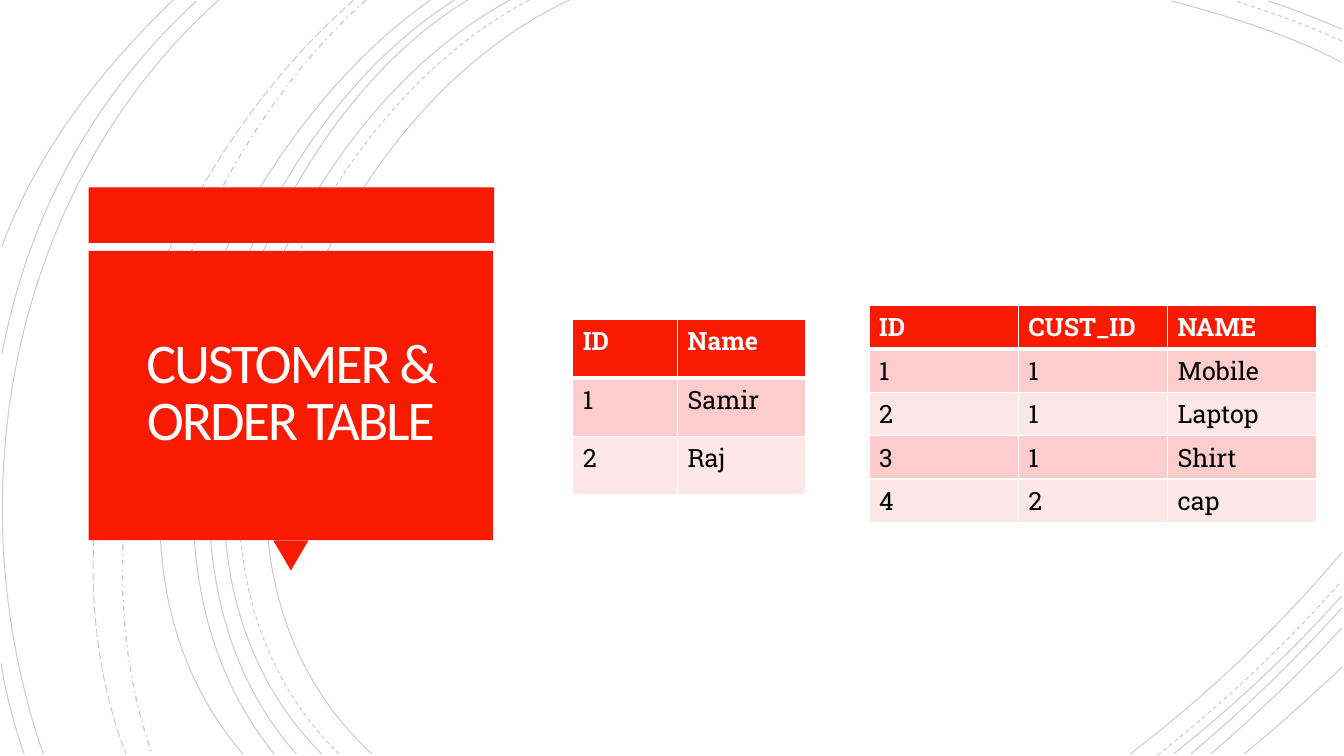
from dataclasses import dataclass
from typing import NamedTuple

from lxml.etree import SubElement
from pptx import Presentation
from pptx.dml.color import RGBColor
from pptx.enum.dml import MSO_LINE_DASH_STYLE as Dash
from pptx.enum.shapes import MSO_AUTO_SHAPE_TYPE as ShapeType
from pptx.enum.text import MSO_ANCHOR, MSO_AUTO_SIZE, PP_ALIGN
from pptx.oxml import parse_xml
from pptx.oxml.ns import nsdecls, qn
from pptx.slide import Slide
from pptx.text.text import TextFrame
from pptx.util import Emu, Pt

EMU_PER_PX = 9144


@dataclass(frozen=True)
class Theme:
    accent: str = "F81B02"
    title_text: str = "FFFEFF"
    header_text: str = "FFFFFF"
    body_text: str = "000000"
    border: str = "FFFFFF"
    bands: tuple[str, str] = ("FCCDCC", "FEE8E7")
    arc: str = "000000"
    arc_alpha: int = 20000
    title_font: str = "Calibri"
    table_font: str = "Roboto Slab"
    title_size: int = 40
    table_size: int = 18


THEME = Theme()


class Point(NamedTuple):
    x: int
    y: int


class Box(NamedTuple):
    left: int
    top: int
    width: int
    height: int


@dataclass(frozen=True)
class Arc:
    start: Point
    first_control: Point
    second_control: Point
    end: Point
    dash: Dash = Dash.SOLID
    weight: float = 0.75


@dataclass(frozen=True)
class Block:
    kind: ShapeType
    box: Box
    rotation: int = 0


@dataclass(frozen=True)
class DataTable:
    left: int
    top: int
    column_widths: tuple[int, ...]
    row_height: int
    rows: tuple[tuple[str, ...], ...]


ARCS = (
    Arc(Point(565, 0), Point(315, 115), Point(143, 540), Point(369, 748)),
    Arc(Point(1331, 62), Point(1278, 34), Point(1218, 16), Point(1162, 1)),
    Arc(Point(1121, 748), Point(1197, 690), Point(1269, 622), Point(1331, 548)),
    Arc(Point(525, 0), Point(285, 125), Point(123, 537), Point(336, 748), Dash.DASH),
    Arc(Point(1331, 41), Point(1297, 25), Point(1260, 12), Point(1225, 1), Dash.DASH),
    Arc(Point(1148, 749), Point(1213, 698), Point(1275, 640), Point(1330, 577), Dash.DASH),
    Arc(Point(506, 0), Point(270, 127), Point(110, 537), Point(319, 748)),
    Arc(Point(1331, 29), Point(1307, 19), Point(1283, 9), Point(1258, 1)),
    Arc(Point(1164, 748), Point(1223, 701), Point(1280, 648), Point(1331, 591)),
    Arc(Point(464, 0), Point(244, 133), Point(110, 541), Point(294, 748)),
    Arc(Point(1181, 748), Point(1234, 704), Point(1284, 655), Point(1331, 603)),
    Arc(Point(451, 0), Point(231, 138), Point(97, 533), Point(272, 748)),
    Arc(Point(1201, 748), Point(1246, 709), Point(1290, 667), Point(1331, 623)),
    Arc(Point(427, 0), Point(217, 147), Point(53, 529), Point(241, 748)),
    Arc(Point(1234, 748), Point(1267, 721), Point(1299, 692), Point(1331, 662)),
    Arc(Point(363, 0), Point(176, 166), Point(65, 509), Point(151, 748), Dash.DASH_DOT, 1),
    Arc(Point(351, 0), Point(157, 169), Point(29, 499), Point(125, 748), Dash.LONG_DASH),
    Arc(Point(217, 0), Point(11, 185), Point(-46, 490), Point(43, 748)),
    Arc(Point(195, 1), Point(92, 96), Point(28, 214), Point(2, 351)),
    Arc(Point(1, 658), Point(6, 689), Point(14, 719), Point(24, 748)),
    Arc(Point(172, 0), Point(100, 69), Point(37, 150), Point(2, 244)),
)

BLOCKS = (
    Block(ShapeType.RECTANGLE, Box(88, 186, 402, 55)),
    Block(ShapeType.ISOSCELES_TRIANGLE, Box(271, 536, 35, 30), 180),
    Block(ShapeType.RECTANGLE, Box(88, 249, 401, 287)),
)

TITLE_BOX = Box(97, 257, 383, 269)

TABLES = (
    DataTable(568, 317, (104, 127), 58, (("ID", "Name"), ("1", "Samir"), ("2", "Raj"))),
    DataTable(862, 303, (148, 148, 148), 41, (
        ("ID", "CUST_ID", "NAME"),
        ("1", "1", "Mobile"),
        ("2", "1", "Laptop"),
        ("3", "1", "Shirt"),
        ("4", "2", "cap"),
    )),
)


def px(length: int) -> Emu:
    return Emu(length * EMU_PER_PX)


def rgb(color: str) -> RGBColor:
    return RGBColor.from_string(color)


def write_text(frame: TextFrame, text: str, *, font: str, size: int, color: str,
               bold: bool = False, align: PP_ALIGN = PP_ALIGN.LEFT,
               line_spacing: float = 1.0, tracking: int = 0) -> None:
    paragraph = frame.paragraphs[0]
    paragraph.alignment = align
    paragraph.line_spacing = line_spacing
    run = paragraph.add_run()
    run.text = text
    run.font.name = font
    run.font.size = Pt(size)
    run.font.bold = bold
    run.font.color.rgb = rgb(color)
    if tracking:
        run.font._element.set("spc", str(tracking))


def draw_arc(slide: Slide, arc: Arc) -> None:
    builder = slide.shapes.build_freeform(*arc.start, scale=EMU_PER_PX)
    builder.add_line_segments((arc.first_control, arc.second_control, arc.end), close=False)
    shape = builder.convert_to_shape()
    segments = shape._element.xpath(".//a:lnTo")
    outline = segments[0].getparent()
    curve = SubElement(outline, qn("a:cubicBezTo"))
    for segment in segments:
        curve.append(segment[0])
        outline.remove(segment)
    shape.shadow.inherit = False
    shape.fill.background()
    shape.line.color.rgb = rgb(THEME.arc)
    shape.line.width = Pt(arc.weight)
    shape.line.dash_style = arc.dash
    color = shape._element.xpath("./p:spPr/a:ln/a:solidFill/a:srgbClr")[0]
    SubElement(color, qn("a:alpha")).set("val", str(THEME.arc_alpha))


def draw_block(slide: Slide, block: Block) -> None:
    shape = slide.shapes.add_shape(block.kind, *map(px, block.box))
    shape.rotation = block.rotation
    shape.shadow.inherit = False
    shape.fill.solid()
    shape.fill.fore_color.rgb = rgb(THEME.accent)
    shape.line.fill.background()


def place_title(slide: Slide, text: str) -> None:
    title = slide.shapes.title
    title.left, title.top, title.width, title.height = map(px, TITLE_BOX)
    frame = title.text_frame
    frame.word_wrap = True
    frame.auto_size = MSO_AUTO_SIZE.NONE
    frame.vertical_anchor = MSO_ANCHOR.MIDDLE
    frame.margin_left = frame.margin_right = px(25)
    frame.margin_top = frame.margin_bottom = px(25)
    write_text(frame, text, font=THEME.title_font, size=THEME.title_size,
               color=THEME.title_text, align=PP_ALIGN.CENTER, line_spacing=0.85, tracking=-150)
    slide.shapes._spTree.append(title._element)


def draw_table(slide: Slide, data: DataTable) -> None:
    row_count, column_count = len(data.rows), len(data.column_widths)
    box = Box(data.left, data.top, sum(data.column_widths), data.row_height * row_count)
    table = slide.shapes.add_table(row_count, column_count, *map(px, box)).table
    for column, width in zip(table.columns, data.column_widths):
        column.width = px(width)
    for row_index, values in enumerate(data.rows):
        table.rows[row_index].height = px(data.row_height)
        header = row_index == 0
        fill = THEME.accent if header else THEME.bands[(row_index - 1) % 2]
        weights = {"L": 1, "R": 1, "T": 3 if row_index == 1 else 1, "B": 3 if header else 1}
        for column_index, text in enumerate(values):
            cell = table.cell(row_index, column_index)
            write_text(cell.text_frame, text, font=THEME.table_font, size=THEME.table_size,
                       color=THEME.header_text if header else THEME.body_text, bold=header)
            cell.fill.solid()
            cell.fill.fore_color.rgb = rgb(fill)
            properties = cell._tc.get_or_add_tcPr()
            for position, (side, weight) in enumerate(weights.items()):
                properties.insert(position, parse_xml(
                    f'<a:ln{side} {nsdecls("a")} w="{Pt(weight)}"><a:solidFill>'
                    f'<a:srgbClr val="{THEME.border}"/></a:solidFill></a:ln{side}>'))


def main() -> None:
    presentation = Presentation()
    presentation.slide_width, presentation.slide_height = px(1333), px(750)
    slide = presentation.slides.add_slide(presentation.slide_layouts[5])
    for arc in ARCS:
        draw_arc(slide, arc)
    for block in BLOCKS:
        draw_block(slide, block)
    place_title(slide, "CUSTOMER & ORDER TABLE")
    for data in TABLES:
        draw_table(slide, data)
    presentation.save("out.pptx")


if __name__ == "__main__":
    main()
